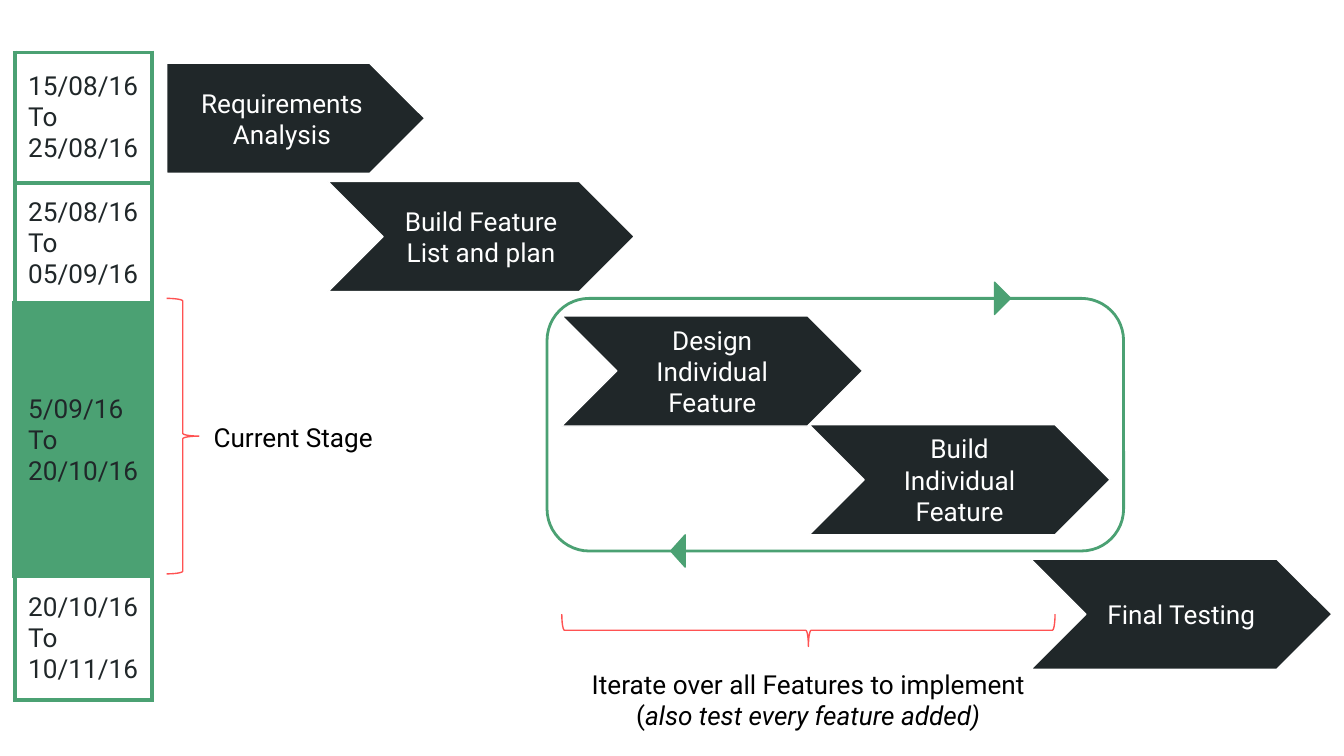
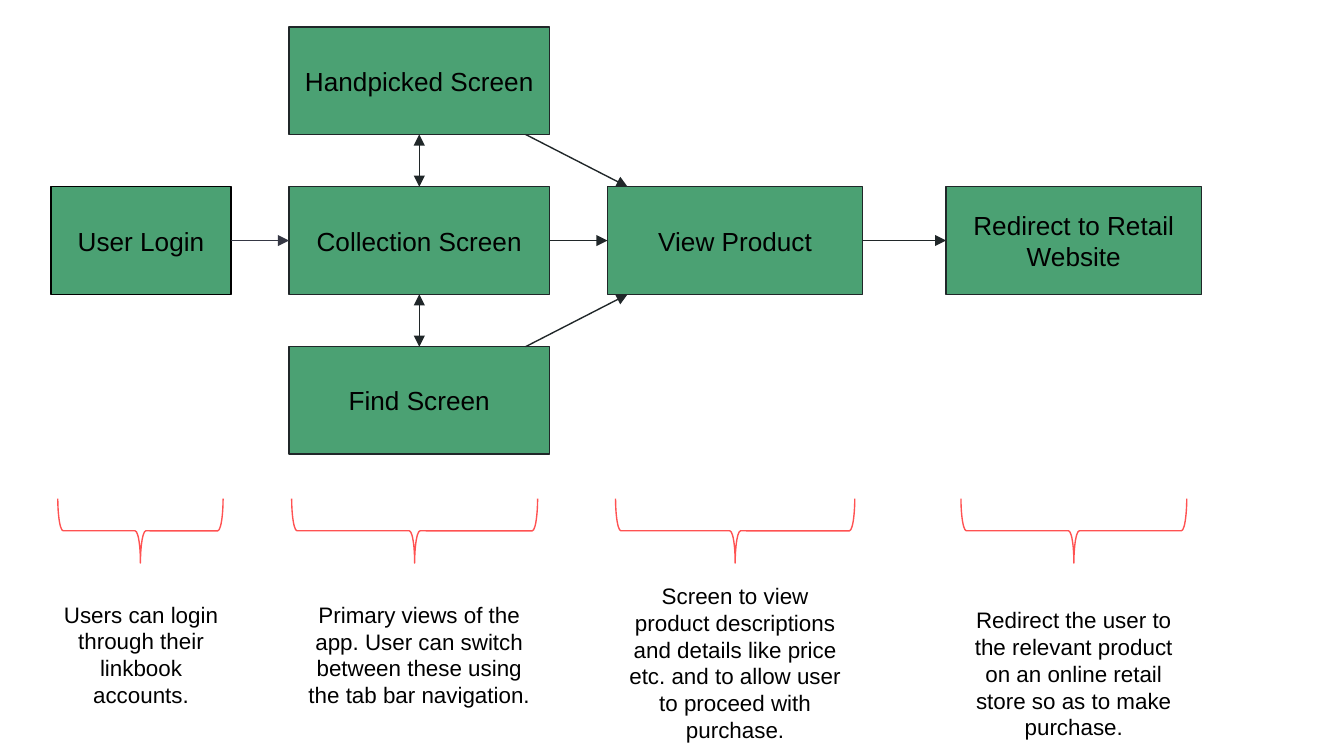
import pptx
import pptx.dml.color
import pptx.enum.shapes
import pptx.enum.text
import pptx.oxml.ns
import pptx.util
from lxml import etree

SHAPE = pptx.enum.shapes.MSO_SHAPE
ALIGN = pptx.enum.text.PP_ALIGN
ANCHOR = pptx.enum.text.MSO_ANCHOR

# Shared look
GREEN, DARK, RED, BLACK, WHITE = "4BA173", "202729", "FF5252", "000000", "FFFFFF"
SLIDE_WIDTH = 10
SLIDE_HEIGHT = SLIDE_WIDTH * 9 / 16
LINE = 0.75

# Slide 1: schedule. Stages are (text, shape, left, top, width)
STAGE_HEIGHT = 0.82
STAGES = [
    ("Requirements Analysis", SHAPE.PENTAGON, 1.24, 0.47, 1.92),
    ("Build Feature List and plan", SHAPE.CHEVRON, 2.44, 1.35, 2.28),
    ("Design Individual Feature", SHAPE.CHEVRON, 4.18, 2.35, 2.24),
    ("Build Individual Feature", SHAPE.CHEVRON, 6.02, 3.16, 2.24),
    ("Final Testing", SHAPE.CHEVRON, 7.67, 4.16, 2.24),
]
LOOP = (4.07, 2.22, 4.29, 1.88)
LOOP_ARROWS = [
    (SHAPE.RIGHT_ARROW, (5.83, 2.1, 1.69, 0.24), (0, 0.5)),
    (SHAPE.LEFT_ARROW, (4.99, 3.98, 1.82, 0.24), (0, 0.45)),
]
# Dates are (start, end, row height)
DATES = [
    ("15/08/16", "25/08/16", 0.97),
    ("25/08/16", "05/09/16", 0.83),
    ("5/09/16", "20/10/16", 2.03),
    ("20/10/16", "10/11/16", 0.92),
]
CURRENT_ROW = 2
DATES_LEFT, DATES_TOP, DATES_WIDTH = 0.11, 0.39, 1.02
LOOP_NOTE = [
    [("Iterate over all Features to implement", False)],
    [("(", False), ("also test every feature added)", True)],
]

# Slide 2: screen flow. Columns are (left, width); screens are (column, row, outline)
COLUMNS = [(0.38, 1.34), (2.15, 1.94), (4.52, 1.9), (7.04, 1.9)]
ROW_TOP, ROW_PITCH, BOX_HEIGHT = 0.2, 1.19, 0.8
SCREENS = {
    "Collection Screen": (1, 1, DARK),
    "Find Screen": (1, 2, DARK),
    "Handpicked Screen": (1, 0, DARK),
    "User Login": (0, 1, BLACK),
    "View Product": (2, 1, DARK),
    "Redirect to Retail Website": (3, 1, DARK),
}
TOP, LEFT, BOTTOM, RIGHT = range(4)
# Links are (from, side, to, side, colour, both ways)
LINKS = [
    ("User Login", RIGHT, "Collection Screen", LEFT, "353744", False),
    ("Collection Screen", TOP, "Handpicked Screen", BOTTOM, DARK, True),
    ("Collection Screen", BOTTOM, "Find Screen", TOP, DARK, True),
    ("Collection Screen", RIGHT, "View Product", LEFT, DARK, False),
    ("View Product", RIGHT, "Redirect to Retail Website", LEFT, DARK, False),
]
DIAGONALS = [(3.91, 1.0, 4.67, 1.39), (3.91, 2.58, 4.67, 2.19)]
BRACE_TOP, BRACE_DEPTH = 3.71, 0.48
# Notes are (text, top, width, height, brace left, brace width), one per column
NOTES = [
    ("Users can login through their linkbook accounts.",
     4.37, 1.4, 0.97, 0.43, 1.23),
    ("Primary views of the app. User can switch between these using the tab bar "
     "navigation.", 4.37, 1.9, 1.19, 2.17, 1.83),
    ("Screen to view product descriptions and details like price etc. and to allow "
     "user to proceed with purchase.", 4.23, 1.81, 1.36, 4.58, 1.78),
    ("Redirect the user to the relevant product on an online retail store so as to "
     "make purchase.", 4.41, 1.83, 1.17, 7.15, 1.68),
]


def inches(*lengths):
    return [pptx.util.Inches(length) for length in lengths]


def color(value):
    return pptx.dml.color.RGBColor.from_string(value)


def add_run(paragraph, text, font, size, text_color, italic=False):
    run = paragraph.add_run()
    run.text = text
    run.font.name = font
    run.font.size = pptx.util.Pt(size)
    run.font.color.rgb = color(text_color)
    if italic:
        run.font.italic = True


def write(frame, paragraphs, font, size, text_color, align=ALIGN.CENTER,
          anchor=ANCHOR.MIDDLE, insets=(0.1, 0.1)):
    """Fill a frame with paragraphs, each a list of (text, italic) runs."""
    frame.word_wrap = True
    frame.vertical_anchor = anchor
    frame.margin_left, frame.margin_right = inches(insets[0], insets[0])
    frame.margin_top, frame.margin_bottom = inches(insets[1], insets[1])
    for index, runs in enumerate(paragraphs):
        paragraph = frame.add_paragraph() if index else frame.paragraphs[0]
        paragraph.alignment = align
        for text, italic in runs:
            add_run(paragraph, text, font, size, text_color, italic)


def add_text(slide, box, paragraphs, font, size, **options):
    write(slide.shapes.add_textbox(*inches(*box)).text_frame,
          paragraphs, font, size, BLACK, **options)


def add_shape(slide, kind, box, fill, outline, width=LINE, adjustments=()):
    shape = slide.shapes.add_shape(kind, *inches(*box))
    shape.shadow.inherit = False
    if fill:
        shape.fill.solid()
        shape.fill.fore_color.rgb = color(fill)
    else:
        shape.fill.background()
    shape.line.color.rgb = color(outline)
    shape.line.width = pptx.util.Pt(width)
    for index, value in enumerate(adjustments):
        shape.adjustments[index] = value
    return shape


def add_brace(slide, left, top, width, height):
    """Draw a brace that points right, or down when it is wider than high."""
    if width <= height:
        add_shape(slide, SHAPE.RIGHT_BRACE, (left, top, width, height), None, RED)
        return
    shift = (width - height) / 2
    box = (left + shift, top - shift, height, width)
    add_shape(slide, SHAPE.RIGHT_BRACE, box, None, RED).rotation = 90


def add_arrow(slide, points, line_color, both_ways=False):
    connector = slide.shapes.add_connector(
        pptx.enum.shapes.MSO_CONNECTOR.STRAIGHT, *inches(*points))
    connector.line.color.rgb = color(line_color)
    connector.line.width = pptx.util.Pt(LINE)
    line = connector.line._get_or_add_ln()
    for end in ("a:headEnd", "a:tailEnd") if both_ways else ("a:tailEnd",):
        etree.SubElement(line, pptx.oxml.ns.qn(end), type="triangle")
    etree.SubElement(connector._element.spPr, pptx.oxml.ns.qn("a:effectLst"))
    return connector


def set_borders(cell, widths):
    """Draw green borders; widths run left, right, top, bottom."""
    properties = cell._tc.get_or_add_tcPr()
    for index, (side, width) in enumerate(zip("LRTB", widths)):
        line = etree.Element(pptx.oxml.ns.qn("a:ln" + side),
                             w=str(pptx.util.Pt(width)))
        fill = etree.SubElement(line, pptx.oxml.ns.qn("a:solidFill"))
        etree.SubElement(fill, pptx.oxml.ns.qn("a:srgbClr"), val=GREEN)
        properties.insert(index, line)


def add_dates(slide):
    height = sum(row[2] for row in DATES)
    table = slide.shapes.add_table(
        len(DATES), 1, *inches(DATES_LEFT, DATES_TOP, DATES_WIDTH, height)).table
    table.first_row = table.horz_banding = False
    for index, (start, end, row_height) in enumerate(DATES):
        table.rows[index].height = pptx.util.Inches(row_height)
        cell = table.cell(index, 0)
        cell.vertical_anchor = ANCHOR.MIDDLE
        cell.margin_left, cell.margin_right = inches(0.1, 0.1)
        cell.margin_top, cell.margin_bottom = inches(0.1, 0.1)
        paragraph = cell.text_frame.paragraphs[0]
        paragraph.alignment = ALIGN.LEFT
        for line_number, text in enumerate((start, "To", end)):
            if line_number:
                paragraph.add_line_break()
            add_run(paragraph, text, "Roboto", 14, DARK)
        widths = [2.25] * 4
        if index == CURRENT_ROW:
            cell.fill.solid()
            cell.fill.fore_color.rgb = color(GREEN)
            widths = [3, 3, 3, 2.25]
        else:
            cell.fill.background()
            if index == CURRENT_ROW - 1:
                widths[3] = 3
        set_borders(cell, widths)


def build_schedule(slide):
    # Loop outline and stages
    add_shape(slide, SHAPE.ROUNDED_RECTANGLE, LOOP, None, GREEN, 1.5, (0.167,))
    for text, kind, left, top, width in STAGES:
        stage = add_shape(slide, kind, (left, top, width, STAGE_HEIGHT), DARK, WHITE,
                          adjustments=(0.5,))
        write(stage.text_frame, [[(text, False)]], "Roboto", 14, WHITE,
              insets=(0.13, 0))
    for kind, box, adjustments in LOOP_ARROWS:
        add_shape(slide, kind, box, GREEN, GREEN, adjustments=adjustments)

    # Note under the loop
    add_text(slide, (4.25, 4.87, 3.53, 0.67), LOOP_NOTE, "Roboto", 14,
             anchor=ANCHOR.TOP)
    add_brace(slide, 4.18, 4.57, 3.67, 0.24)

    # Dates and current stage
    add_dates(slide)
    add_brace(slide, 1.24, 2.22, 0.24, 2.05)
    add_text(slide, (1.49, 3.03, 2.11, 0.44), [[("Current Stage", False)]],
             "Roboto", 14, align=ALIGN.LEFT)


def build_screen_flow(slide):
    # Screens
    boxes = {}
    for text, (column, row, outline) in SCREENS.items():
        left, width = COLUMNS[column]
        box = (left, ROW_TOP + row * ROW_PITCH, width, BOX_HEIGHT)
        boxes[text] = add_shape(slide, SHAPE.RECTANGLE, box, GREEN, outline)
        write(boxes[text].text_frame, [[(text, False)]], "Arial", 14, BLACK)

    # Links between screens
    for start, start_side, end, end_side, line_color, both_ways in LINKS:
        arrow = add_arrow(slide, (0, 0, 0, 0), line_color, both_ways)
        arrow.begin_connect(boxes[start], start_side)
        arrow.end_connect(boxes[end], end_side)
    for points in DIAGONALS:
        add_arrow(slide, points, DARK)

    # Braces and notes, centred under the columns
    for (left, column_width), note in zip(COLUMNS, NOTES):
        text, top, width, height, brace_left, brace_width = note
        add_brace(slide, brace_left, BRACE_TOP, brace_width, BRACE_DEPTH)
        note_left = left + (column_width - width) / 2
        add_text(slide, (note_left, top, width, height), [[(text, False)]],
                 "Arial", 12, anchor=ANCHOR.TOP)


def main():
    presentation = pptx.Presentation()
    presentation.slide_width, presentation.slide_height = inches(
        SLIDE_WIDTH, SLIDE_HEIGHT)
    blank = presentation.slide_layouts[6]
    for build in (build_schedule, build_screen_flow):
        build(presentation.slides.add_slide(blank))
    presentation.save("out.pptx")


if __name__ == "__main__":
    main()
